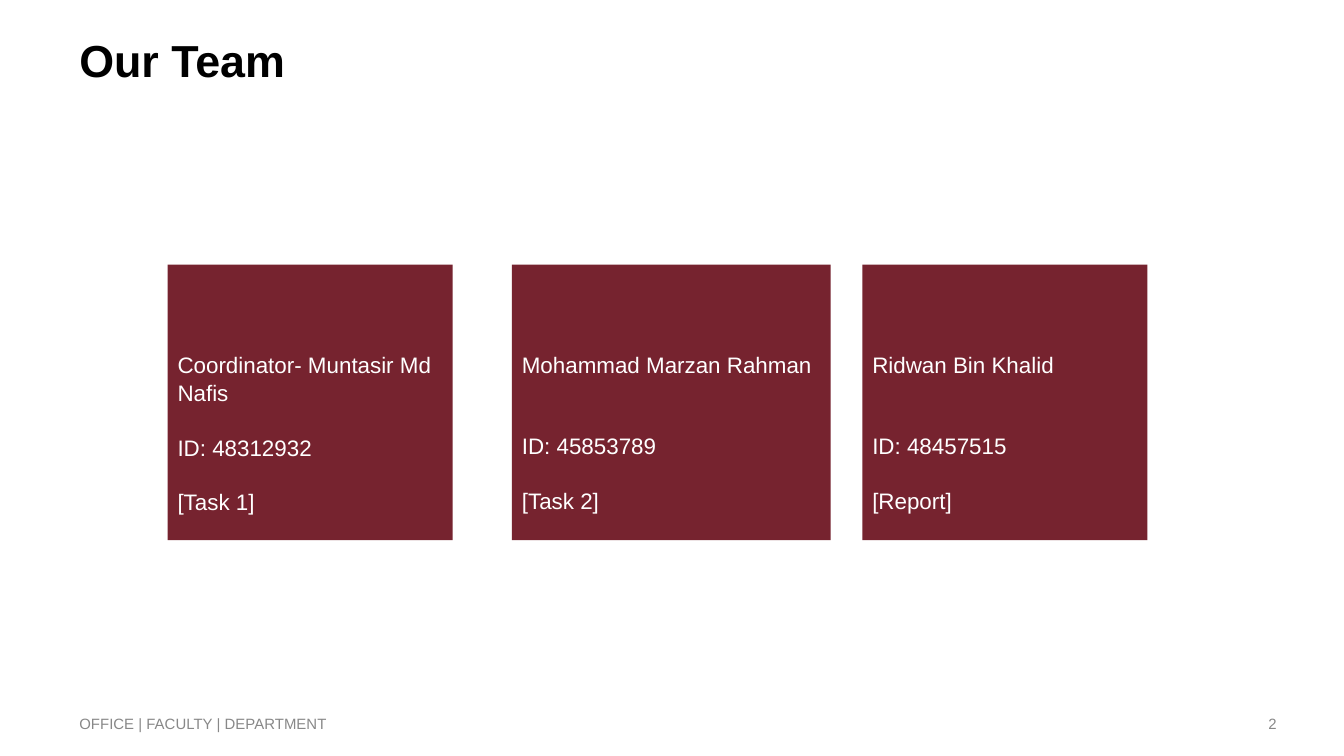
from dataclasses import dataclass

from pptx import Presentation
from pptx.dml.color import RGBColor
from pptx.enum.shapes import MSO_SHAPE as Shape
from pptx.enum.text import MSO_ANCHOR as Anchor, PP_ALIGN as Align
from pptx.util import Pt


@dataclass(frozen=True)
class Theme:
    font: str = "Arial"
    ink: str = "000000"
    muted: str = "888888"
    card: str = "76232F"
    on_card: str = "FFFFFF"
    title_size: float = 24
    card_size: float = 12
    footer_size: float = 8
    line_spacing: float = 1.04
    card_line: float = 14.3


class SlideBuilder:
    def __init__(self, slide, theme):
        self.slide = slide
        self.theme = theme

    def _style(self, paragraph, size, color, bold=False, align=Align.LEFT):
        paragraph.alignment = align
        paragraph.line_spacing = self.theme.line_spacing
        for run in paragraph.runs:
            run.font.name = self.theme.font
            run.font.size = Pt(size)
            run.font.bold = bold
            run.font.color.rgb = RGBColor.from_string(color)

    def _inset(self, frame, side, top, bottom):
        frame.word_wrap = True
        frame.margin_left = frame.margin_right = Pt(side)
        frame.margin_top, frame.margin_bottom = Pt(top), Pt(bottom)

    def label(self, text, box, size, color, bold=False, align=Align.LEFT, anchor=Anchor.TOP):
        frame = self.slide.shapes.add_textbox(*map(Pt, box)).text_frame
        self._inset(frame, 0, 0, 0)
        frame.vertical_anchor = anchor
        frame.text = text
        self._style(frame.paragraphs[0], size, color, bold, align)

    def footer(self, text, left, width, align=Align.LEFT):
        self.label(text, (left, 376.5, width, 21.6), self.theme.footer_size,
                   self.theme.muted, align=align, anchor=Anchor.MIDDLE)

    def member_card(self, left, width, details, id_gap):
        """Draw a card; id_gap is the number of empty lines above the ID."""
        theme = self.theme
        card = self.slide.shapes.add_shape(
            Shape.RECTANGLE, Pt(left), Pt(141.8), Pt(width), Pt(147.6))
        card.shadow.inherit = False
        card.fill.solid()
        card.fill.fore_color.rgb = RGBColor.from_string(theme.card)
        card.line.fill.background()

        frame = card.text_frame
        self._inset(frame, 5.3, 2.9 + 3 * theme.card_line, 2.9)
        frame.vertical_anchor = Anchor.TOP
        frame.text = "\n".join(details)
        for paragraph, gap in zip(frame.paragraphs, (0, id_gap, 1)):
            self._style(paragraph, theme.card_size, theme.on_card)
            paragraph.space_before = Pt(gap * theme.card_line)


def main():
    deck = Presentation()
    deck.slide_width, deck.slide_height = Pt(720), Pt(405)
    theme = Theme()
    builder = SlideBuilder(deck.slides.add_slide(deck.slide_layouts[6]), theme)

    builder.label("Our Team", (42.5, 16.6, 499.7, 38.2), theme.title_size, theme.ink, bold=True)
    builder.footer("OFFICE | FACULTY | DEPARTMENT", 42.5, 317.5)
    builder.footer("2", 516.2, 167.8, Align.RIGHT)

    members = (
        (89.8, 152.7, ("Coordinator- Muntasir Md Nafis", "ID: 48312932", "[Task 1]"), 1),
        (274.3, 170.7, ("Mohammad Marzan Rahman", "ID: 45853789", "[Task 2]"), 2),
        (462, 152.7, ("Ridwan Bin Khalid", "ID: 48457515", "[Report]"), 2),
    )
    for member in members:
        builder.member_card(*member)

    deck.save("out.pptx")


if __name__ == "__main__":
    main()
